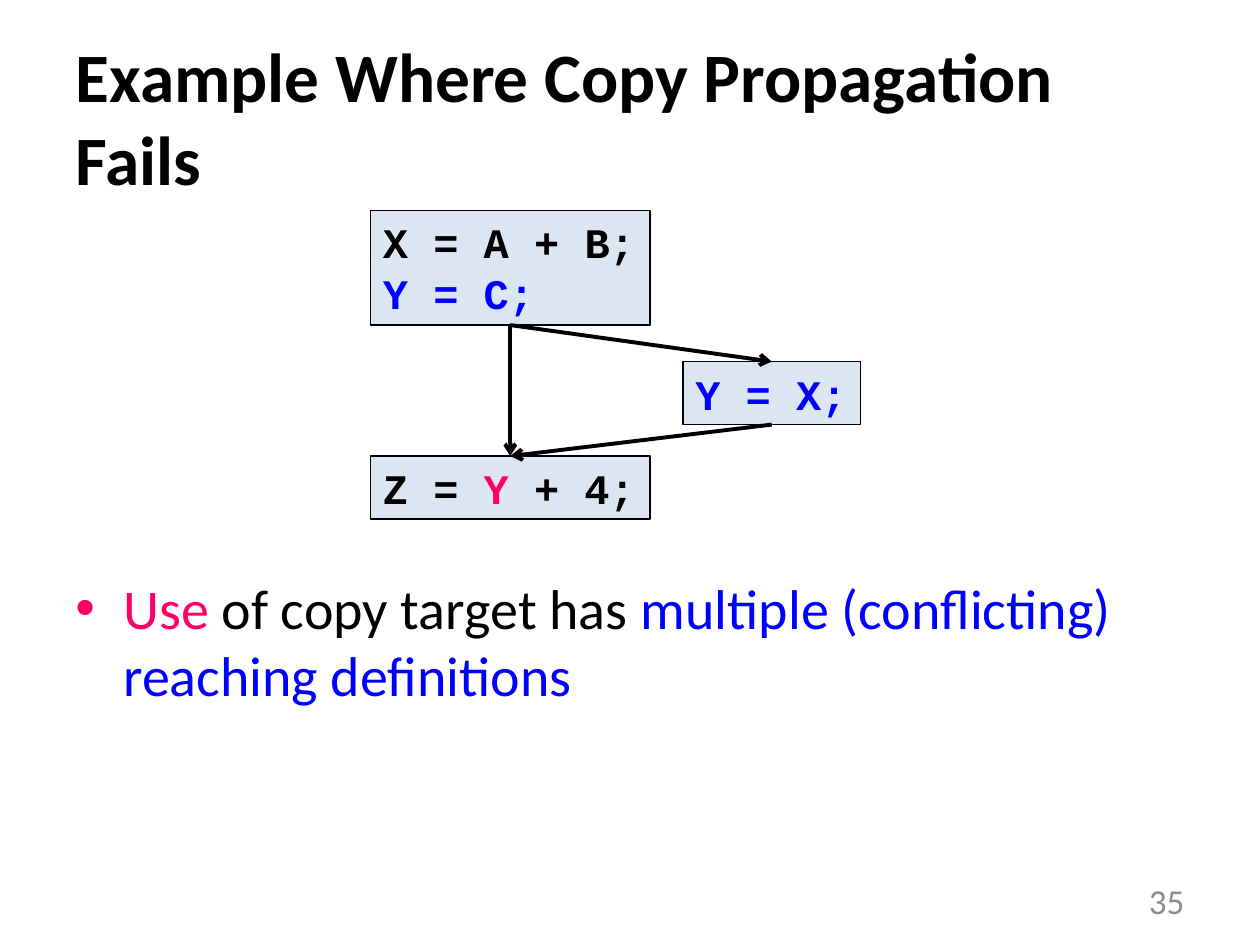
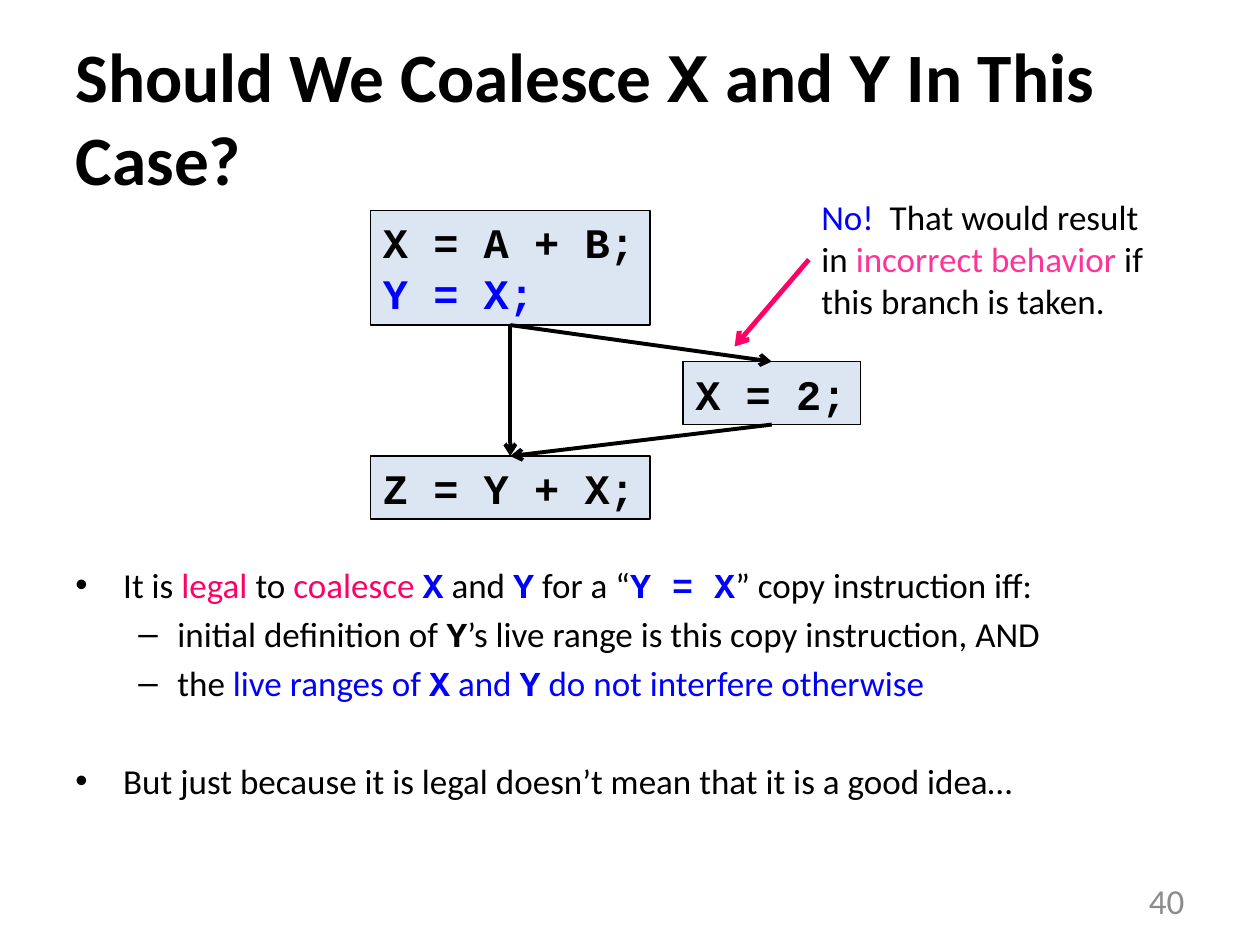
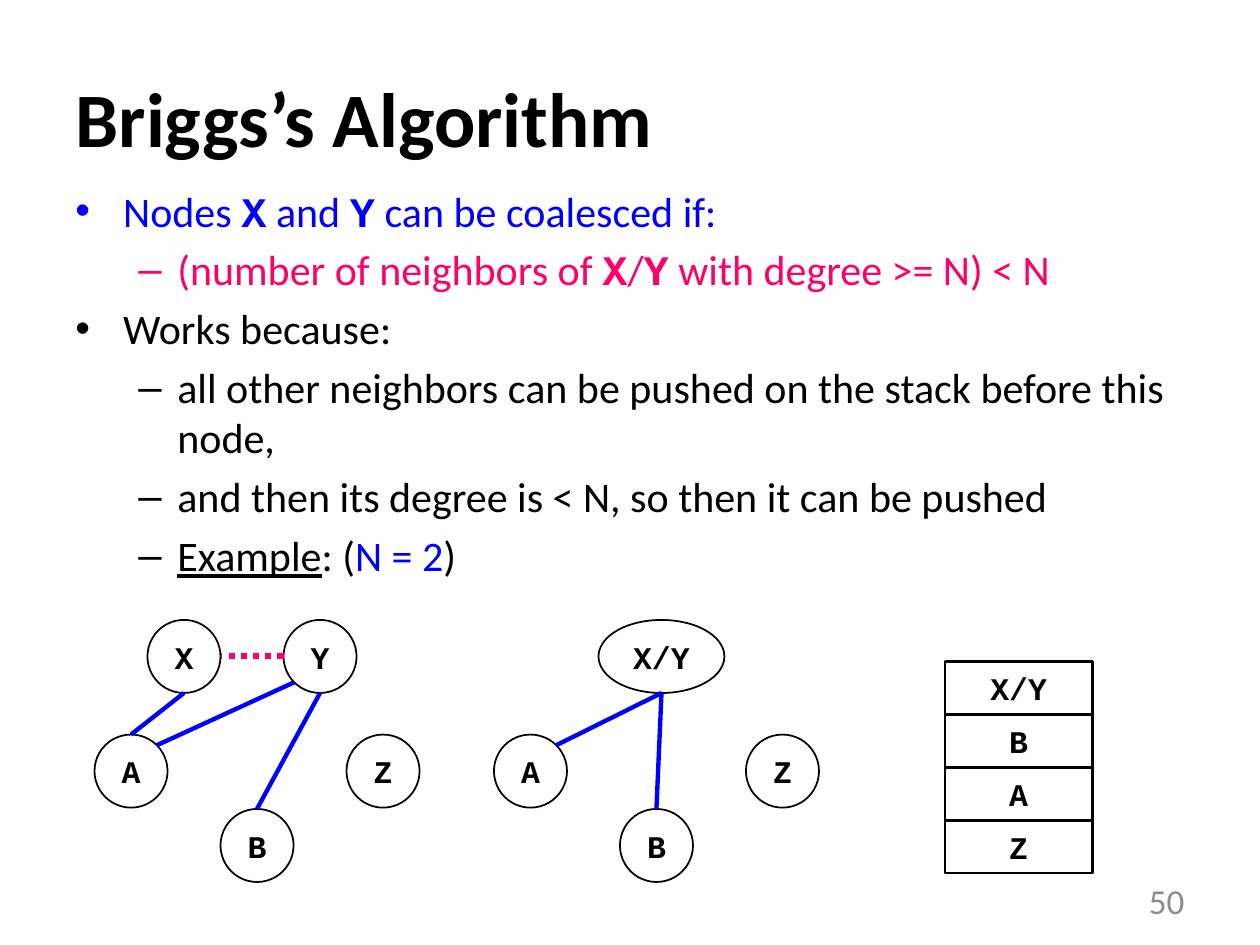
import math

import pptx
import pptx.util
import pptx.dml.color
import pptx.enum.dml
import pptx.enum.shapes
import pptx.enum.text
import pptx.oxml

Inches = pptx.util.Inches
Pt = pptx.util.Pt
RGBColor = pptx.dml.color.RGBColor
Align = pptx.enum.text.PP_ALIGN
Anchor = pptx.enum.text.MSO_ANCHOR
AutoSize = pptx.enum.text.MSO_AUTO_SIZE
Preset = pptx.enum.shapes.MSO_SHAPE

BLACK = RGBColor(0x00, 0x00, 0x00)
BLUE = RGBColor(0x00, 0x00, 0xFF)
PINK = RGBColor(0xFF, 0x00, 0x66)
LIGHT_PINK = RGBColor(0xFF, 0x33, 0x99)
GRAY = RGBColor(0x8C, 0x8C, 0x8C)
PALE_BLUE = RGBColor(0xDC, 0xE6, 0xF2)

CODE = {"name": "Courier New", "bold": True}
BLUE_TEXT = {"color": BLUE}
PINK_TEXT = {"color": PINK}
BLUE_CODE = {**CODE, **BLUE_TEXT}
PINK_CODE = {**CODE, **PINK_TEXT}

BULLETS = [("•", 0.38, -0.38), ("–", 0.81, -0.31)]
NODE = 0.58
BOTTOM, TOP = 2, 0
DIAGONAL = math.sqrt(0.5)
SITES = {
    "top": (0, -1),
    "bottom": (0, 1),
    "left": (-1, 0),
    "right": (1, 0),
    "bottom left": (-DIAGONAL, DIAGONAL),
    "top right": (DIAGONAL, -DIAGONAL),
}


class SlideBuilder:
    def __init__(self):
        self.deck = pptx.Presentation()
        self.deck.slide_width = Inches(10)
        self.deck.slide_height = Inches(7.5)
        self.slide = None

    def start(self, title, number, size=39.6):
        self.slide = self.deck.slides.add_slide(self.deck.slide_layouts[5])
        box = self.slide.shapes.title
        place = {"left": 0.5, "top": 0.3, "width": 9, "height": 1.25}
        for name, value in place.items():
            setattr(box, name, Inches(value))
        self.frame(box, anchor=Anchor.MIDDLE)
        self.fill_para(box.text_frame.paragraphs[0], title, size, bold=True)
        self.text(7.17, 6.95, 2.33, 0.4, [(str(number), {"color": GRAY})], 20,
                  Align.RIGHT, Anchor.MIDDLE)

    def frame(self, box, anchor=Anchor.TOP, wrap=True, fit=AutoSize.NONE):
        settings = {"word_wrap": wrap, "auto_size": fit, "vertical_anchor": anchor}
        for name, value in settings.items():
            setattr(box.text_frame, name, value)

    def fill_para(self, para, spans, size, align=Align.LEFT, **base):
        para.alignment = align
        for text, changes in spans:
            values = {"name": "Calibri", "size": Pt(size), "bold": False,
                      "color": BLACK, **base, **changes}
            span = para.add_run()
            span.text = text
            span.font.color.rgb = values.pop("color")
            for name, value in values.items():
                setattr(span.font, name, value)

    def text(self, left, top, width, height, spans, size, align=Align.LEFT,
             anchor=Anchor.TOP):
        box = self.slide.shapes.add_textbox(
            Inches(left), Inches(top), Inches(width), Inches(height))
        self.frame(box, anchor)
        self.fill_para(box.text_frame.paragraphs[0], spans, size, align)

    def bullets(self, left, top, width, height, items, size):
        box = self.slide.shapes.add_textbox(
            Inches(left), Inches(top), Inches(width), Inches(height))
        self.frame(box)
        for index, (level, spans, *extra) in enumerate(items):
            frame = box.text_frame
            para = frame.add_paragraph() if index else frame.paragraphs[0]
            para.level = level
            para.space_before = Pt(extra[0] if extra else size * 0.2)
            self.fill_para(para, spans, size)
            mark, margin, indent = BULLETS[level]
            properties = para._p.get_or_add_pPr()
            properties.set("marL", str(Inches(margin)))
            properties.set("indent", str(Inches(indent)))
            font = pptx.oxml.parse_xml(
                '<a:buFont xmlns:a="http://schemas.openxmlformats.org/drawingml/2006/main"'
                ' typeface="Arial"/>')
            properties.append(font)
            bullet = properties.makeelement(font.tag.replace("buFont", "buChar"),
                                            {"char": mark})
            properties.append(bullet)

    def shape(self, preset, left, top, width, height, line_width, fill=None):
        box = self.slide.shapes.add_shape(
            preset, Inches(left), Inches(top), Inches(width), Inches(height))
        box.shadow.inherit = False
        box.line.color.rgb = BLACK
        box.line.width = Pt(line_width)
        if fill is None:
            box.fill.background()
        else:
            box.fill.solid()
            box.fill.fore_color.rgb = fill
        return box

    def code(self, left, top, width, height, lines):
        box = self.shape(Preset.RECTANGLE, left, top, width, height, 0.75, PALE_BLUE)
        self.frame(box, wrap=False, fit=AutoSize.SHAPE_TO_FIT_TEXT)
        for index, spans in enumerate(lines):
            frame = box.text_frame
            para = frame.add_paragraph() if index else frame.paragraphs[0]
            para.line_spacing = Pt(29)
            self.fill_para(para, spans, 24, **CODE)
        return box

    def label(self, preset, left, top, width, height, name, line_width):
        box = self.shape(preset, left, top, width, height, line_width)
        self.frame(box, Anchor.MIDDLE)
        self.fill_para(box.text_frame.paragraphs[0], [(name, CODE)], 18, Align.CENTER)
        return box

    def node(self, name, left, top, width=NODE):
        return self.label(Preset.OVAL, left, top, width, NODE, name, 1)

    def stack(self, left, top, width, height, names):
        for row, name in enumerate(names):
            self.label(Preset.RECTANGLE, left, top + row * height, width, height,
                       name, 1.5)

    def line(self, start, end, color, width, arrow=False):
        line = self.slide.shapes.add_connector(
            pptx.enum.shapes.MSO_CONNECTOR.STRAIGHT, *start, *end)
        line.line.color.rgb = color
        line.line.width = Pt(width)
        properties = line._element.spPr
        outline = line.line._get_or_add_ln()
        if arrow:
            outline.append(outline.makeelement(
                outline.tag.replace("}ln", "}tailEnd"), {"type": "arrow"}))
        properties.append(properties.makeelement(
            outline.tag.replace("}ln", "}effectLst"), {}))
        return line

    def flow(self, source, target):
        line = self.line((0, 0), (0, 0), BLACK, 2.25, arrow=True)
        line.begin_connect(source, BOTTOM)
        line.end_connect(target, TOP)

    def site(self, node, side):
        across, down = SITES[side]
        return (round(node.left + node.width * (1 + across) / 2),
                round(node.top + node.height * (1 + down) / 2))

    def edge(self, source, source_side, target, target_side, color=BLUE, width=2.5):
        return self.line(self.site(source, source_side),
                         self.site(target, target_side), color, width)

    def branch(self, first, side, last):
        first_box = self.code(2.94, 1.67, 2.22, 0.91, first)
        side_box = self.code(5.42, 2.87, 1.41, 0.5, [side])
        last_box = self.code(2.94, 3.62, 2.22, 0.5, [last])
        self.flow(first_box, side_box)
        self.flow(first_box, last_box)
        self.flow(side_box, last_box)

    def lower_nodes(self, left):
        return [self.node(name, left + shift, top)
                for name, shift, top in [("A", 0, 5.83), ("B", 1, 6.42), ("Z", 2, 5.83)]]


def copy_propagation(builder):
    builder.start([("Example Where Copy Propagation Fails", {})], 35)
    builder.bullets(0.5, 4.5, 9, 2.17, [
        (0, [("Use", PINK_TEXT), (" of copy target has ", {}),
             ("multiple (conflicting) reaching definitions", BLUE_TEXT)]),
    ], 32)
    builder.branch([[("X = A + B;", {})], [("Y = C;", BLUE_TEXT)]],
                   [("Y = X;", BLUE_TEXT)],
                   [("Z = ", {}), ("Y", PINK_TEXT), (" + 4;", {})])


def coalescing(builder):
    builder.start([("Should We Coalesce ", {}), ("X", CODE), (" and ", {}),
                   ("Y", CODE), (" In This Case?", {})], 40)
    builder.bullets(0.5, 4.42, 9, 2.25, [
        (0, [("It is ", {}), ("legal", PINK_TEXT), (" to ", {}),
             ("coalesce ", PINK_TEXT), ("X", BLUE_CODE), (" and ", {}),
             ("Y", BLUE_CODE), (" for a “", {}), ("Y = X", BLUE_CODE),
             ("” copy instruction iff:", {})]),
        (1, [("initial definition of ", {}), ("Y", CODE),
             ("’s live range is this copy instruction, AND", {})]),
        (1, [("the ", {}), ("live ranges of ", BLUE_TEXT), ("X", BLUE_CODE),
             (" and ", BLUE_TEXT), ("Y", BLUE_CODE),
             (" do not interfere otherwise", BLUE_TEXT)]),
        (0, [("But just because it is legal doesn’t mean that it is a good idea…", {})],
         32),
    ], 20)
    builder.branch([[("X = A + B;", {})], [("Y = X;", BLUE_TEXT)]],
                   [("X = 2;", {})], [("Z = Y + X;", {})])
    builder.text(6.42, 1.5, 2.92, 1.11, [
        ("No!", BLUE_TEXT), ("  That would result in ", {}),
        ("incorrect behavior", {"color": LIGHT_PINK}),
        (" if this branch is taken.", {})], 20)
    builder.line((Inches(6.42), Inches(2.06)), (Inches(5.83), Inches(2.75)),
                 PINK, 2.75, arrow=True)


def briggs(builder):
    builder.start([("Briggs’s Algorithm", {})], 50, 44)
    builder.bullets(0.5, 1.42, 9.17, 5.28, [
        (0, [("Nodes ", BLUE_TEXT), ("X", BLUE_CODE), (" and ", BLUE_TEXT),
             ("Y", BLUE_CODE), (" can be coalesced if:", BLUE_TEXT)]),
        (1, [("(number of neighbors of ", PINK_TEXT), ("X", PINK_CODE),
             ("/", PINK_TEXT), ("Y", PINK_CODE),
             (" with degree >= N) < N", PINK_TEXT)]),
        (0, [("Works because:", {})]),
        (1, [("all other neighbors can be pushed on the stack before this node,", {})]),
        (1, [("and then its degree is < N, so then it can be pushed", {})]),
        (1, [("Example", {"underline": True}), (": (", {}), ("N = 2", BLUE_TEXT),
             (")", {})]),
    ], 24)

    x_node = builder.node("X", 1.17, 4.92)
    y_node = builder.node("Y", 2.25, 4.92)
    a_node, b_node, _ = builder.lower_nodes(0.75)
    builder.edge(y_node, "bottom left", a_node, "top right")
    builder.edge(x_node, "bottom", a_node, "top")
    builder.edge(y_node, "bottom", b_node, "top")
    copy_edge = builder.edge(y_node, "left", x_node, "right", PINK, 3.5)
    copy_edge.line.dash_style = pptx.enum.dml.MSO_LINE.ROUND_DOT

    merged_node = builder.node("X/Y", 4.75, 4.92, 1)
    a_node, b_node, _ = builder.lower_nodes(3.92)
    builder.edge(merged_node, "bottom", a_node, "top right")
    builder.edge(merged_node, "bottom", b_node, "top")

    builder.stack(7.5, 5.25, 1.17, 0.42, ["X/Y", "B", "A", "Z"])


builder = SlideBuilder()
for build in (copy_propagation, coalescing, briggs):
    build(builder)
builder.deck.save("out.pptx")
